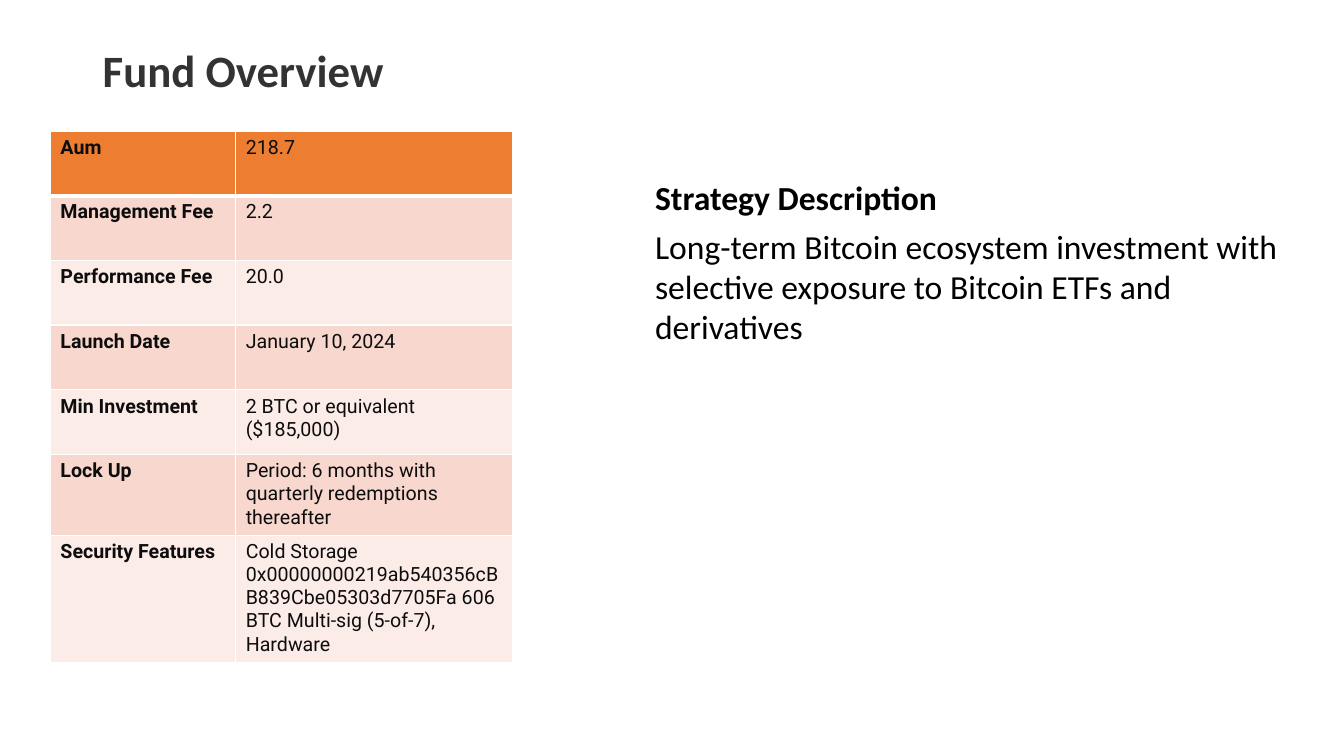
import pptx
import pptx.dml.color
import pptx.enum.text
import pptx.oxml
import pptx.oxml.ns
import pptx.util

Cm = pptx.util.Cm
Pt = pptx.util.Pt
RGBColor = pptx.dml.color.RGBColor

TITLE_GREY = RGBColor(0x33, 0x33, 0x33)
TABLE_TEXT = RGBColor(0x0D, 0x0D, 0x0D)
BLACK = RGBColor(0x00, 0x00, 0x00)
WHITE = RGBColor(0xFF, 0xFF, 0xFF)
ORANGE = RGBColor(0xED, 0x7D, 0x31)
DARK_BAND = RGBColor(0xF8, 0xD7, 0xCE)
LIGHT_BAND = RGBColor(0xFC, 0xEC, 0xE8)


def write(para, text, size=24, font="Calibri", color=BLACK, bold=False):
    span = para.add_run()
    span.text = text
    span.font.size = Pt(size)
    span.font.name = font
    span.font.color.rgb = color
    span.font.bold = bold


def set_borders(cell, widths):
    properties = cell._tc.get_or_add_tcPr()
    for index, (side, width) in enumerate(widths.items()):
        line = pptx.oxml.parse_xml(
            f'<a:ln{side} {pptx.oxml.ns.nsdecls("a")} w="{Pt(width)}">'
            f'<a:solidFill><a:srgbClr val="{WHITE}"/></a:solidFill></a:ln{side}>'
        )
        properties.insert(index, line)


deck = pptx.Presentation()
deck.slide_width = Cm(33.87)
deck.slide_height = Cm(19.05)
page = deck.slides.add_slide(deck.slide_layouts[6])

# Title
title_box = page.shapes.add_textbox(Cm(2.34), Cm(1.02), Cm(24.18), Cm(1.65))
title_box.text_frame.word_wrap = True
title_box.text_frame.vertical_anchor = pptx.enum.text.MSO_ANCHOR.MIDDLE
title_para = title_box.text_frame.paragraphs[0]
title_para.line_spacing = 0.9
write(title_para, "Fund Overview", size=32, color=TITLE_GREY, bold=True)

# Fund facts table
facts = [
    ("Aum", "218.7"),
    ("Management Fee", "2.2"),
    ("Performance Fee", "20.0"),
    ("Launch Date", "January 10, 2024"),
    ("Min Investment", "2 BTC or equivalent ($185,000)"),
    ("Lock Up", "Period: 6 months with quarterly redemptions thereafter"),
    ("Security Features", "Cold Storage 0x00000000219ab540356cBB839Cbe05303d7705Fa "
                          "606 BTC Multi-sig (5-of-7), Hardware"),
]
row_height = 1.63
table = page.shapes.add_table(
    len(facts), 2, Cm(1.27), Cm(3.3), Cm(11.66), Cm(row_height * len(facts))
).table
table.columns[0].width = Cm(4.67)
table.columns[1].width = Cm(6.99)

for row, fact in enumerate(facts):
    table.rows[row].height = Cm(row_height)
    band = ORANGE if row == 0 else DARK_BAND if row % 2 else LIGHT_BAND
    for column, text in enumerate(fact):
        cell = table.cell(row, column)
        cell.fill.solid()
        cell.fill.fore_color.rgb = band
        set_borders(cell, {"L": 1, "R": 1, "T": 3 if row == 1 else 1, "B": 3 if row == 0 else 1})
        write(cell.text_frame.paragraphs[0], text, size=14, font="Roboto",
              color=TABLE_TEXT, bold=column == 0)

# Strategy description
strategy_box = page.shapes.add_textbox(Cm(16.26), Cm(3.3), Cm(16.33), Cm(5.59))
strategy_frame = strategy_box.text_frame
strategy_frame.word_wrap = True
strategy_frame.margin_top = Cm(1.16)
heading_para = strategy_frame.paragraphs[0]
heading_para.space_after = Pt(6)
write(heading_para, "Strategy Description", bold=True)
write(strategy_frame.add_paragraph(),
      "Long-term Bitcoin ecosystem investment with selective exposure "
      "to Bitcoin ETFs and derivatives")

deck.save("out.pptx")
